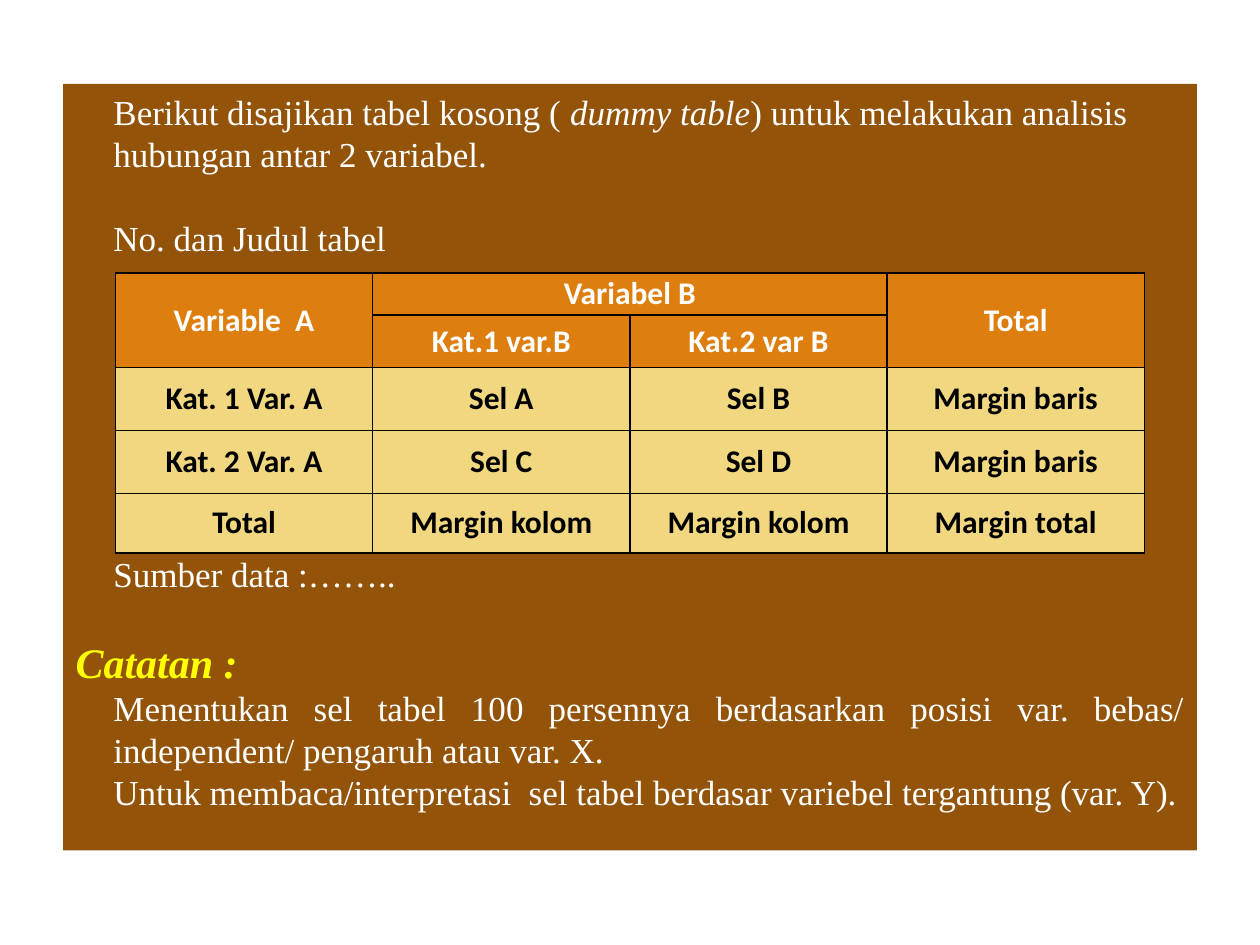
"""Build a slide with a dummy table for the relation of two variables."""
from lxml import etree
from pptx import Presentation
from pptx import util as u
from pptx.dml.color import RGBColor
from pptx.enum import text
from pptx.oxml import ns

Pt = u.Pt
WHITE, BLACK, BROWN = "FFFFFF", "000000", "93540A"
ORANGE, SAND, YELLOW = "DD7E0E", "F1D77F", "FFFF00"
LINE = 24


def paint(fill, tone):
    fill.solid()
    fill.fore_color.rgb = RGBColor.from_string(tone)


def write(para, words, face, size, tone, bold=False, slant=False):
    run = para.add_run()
    run.text = words
    font = run.font
    font.name, font.size, font.bold, font.italic = face, Pt(size), bold, slant
    font.color.rgb = RGBColor.from_string(tone)


deck = Presentation()
deck.slide_width, deck.slide_height = Pt(720), Pt(540)
slide = deck.slides.add_slide(deck.slide_layouts[1])
title, body = slide.placeholders
title.element.getparent().remove(title.element)

body.left, body.top, body.width, body.height = Pt(36), Pt(48), Pt(648), Pt(438)
paint(body.fill, BROWN)
frame = body.text_frame
frame.auto_size = text.MSO_AUTO_SIZE.NONE
frame.vertical_anchor = text.MSO_ANCHOR.TOP
frame.margin_left = frame.margin_right = Pt(7.2)
frame.margin_top = frame.margin_bottom = Pt(3.6)

left, just = text.PP_ALIGN.LEFT, text.PP_ALIGN.JUSTIFY
plain, slant = (20, WHITE), (20, WHITE, False, True)
notes = [
    (0, left, [("Berikut disajikan tabel kosong ( ", plain),
               ("dummy table", slant),
               (") untuk melakukan analisis hubungan antar 2 variabel.", plain)]),
    (1, left, [("No. dan Judul tabel", plain)]),
    (7, left, [("Sumber data :……..", plain)]),
    (1, just, [("Catatan :", (24, YELLOW, True, True))]),
    (0, just, [("Menentukan sel tabel 100 persennya berdasarkan posisi var. "
                "bebas/ independent/ pengaruh atau var. X.", plain)]),
    (0, just, [("Untuk membaca/interpretasi  sel tabel berdasar variebel "
                "tergantung (var. Y).", plain)]),
]
for i, (gap, align, runs) in enumerate(notes):
    para = frame.paragraphs[0] if i == 0 else frame.add_paragraph()
    size = runs[0][1][0]
    para.alignment = align
    para.space_before, para.space_after = Pt(gap * LINE), Pt(0)
    para.line_spacing = Pt(size * 1.2)
    props = para._p.get_or_add_pPr()
    props.set("marL", str(Pt(21.6 if size == 20 else 0)))
    props.set("indent", "0")
    etree.SubElement(props, ns.qn("a:buNone"))
    for words, style in runs:
        write(para, words, "Times New Roman", *style)

rows = [
    ["Variable  A", "Variabel B", "", "Total"],
    ["", "Kat.1 var.B", "Kat.2 var B", ""],
    ["Kat. 1 Var. A", "Sel A", "Sel B", "Margin baris"],
    ["Kat. 2 Var. A", "Sel C", "Sel D", "Margin baris"],
    ["Total", "Margin kolom", "Margin kolom", "Margin total"],
]
highs = [24, 30, 36, 36, 34]
grid = slide.shapes.add_table(5, 4, Pt(66), Pt(156), Pt(588), Pt(sum(highs))).table
for col in grid.columns:
    col.width = Pt(147)
for r, (high, names) in enumerate(zip(highs, rows)):
    grid.rows[r].height = Pt(high)
    for c, name in enumerate(names):
        cell = grid.cell(r, c)
        cell.margin_left = cell.margin_right = Pt(5)
        cell.margin_top = cell.margin_bottom = 0
        cell.vertical_anchor = text.MSO_ANCHOR.MIDDLE
        paint(cell.fill, ORANGE if r < 2 else SAND)
        props = cell._tc.get_or_add_tcPr()
        for k, side in enumerate("LRTB"):
            edge = etree.Element(ns.qn("a:ln" + side), w=str(Pt(1)))
            fill = etree.SubElement(edge, ns.qn("a:solidFill"))
            etree.SubElement(fill, ns.qn("a:srgbClr"), val=BLACK)
            props.insert(k, edge)
        if name:
            para = cell.text_frame.paragraphs[0]
            para.alignment = text.PP_ALIGN.CENTER
            write(para, name, "Calibri", 18, WHITE if r < 2 else BLACK, True)
for start, end in [((0, 0), (1, 0)), ((0, 1), (0, 2)), ((0, 3), (1, 3))]:
    grid.cell(*start).merge(grid.cell(*end))

deck.save("out.pptx")
